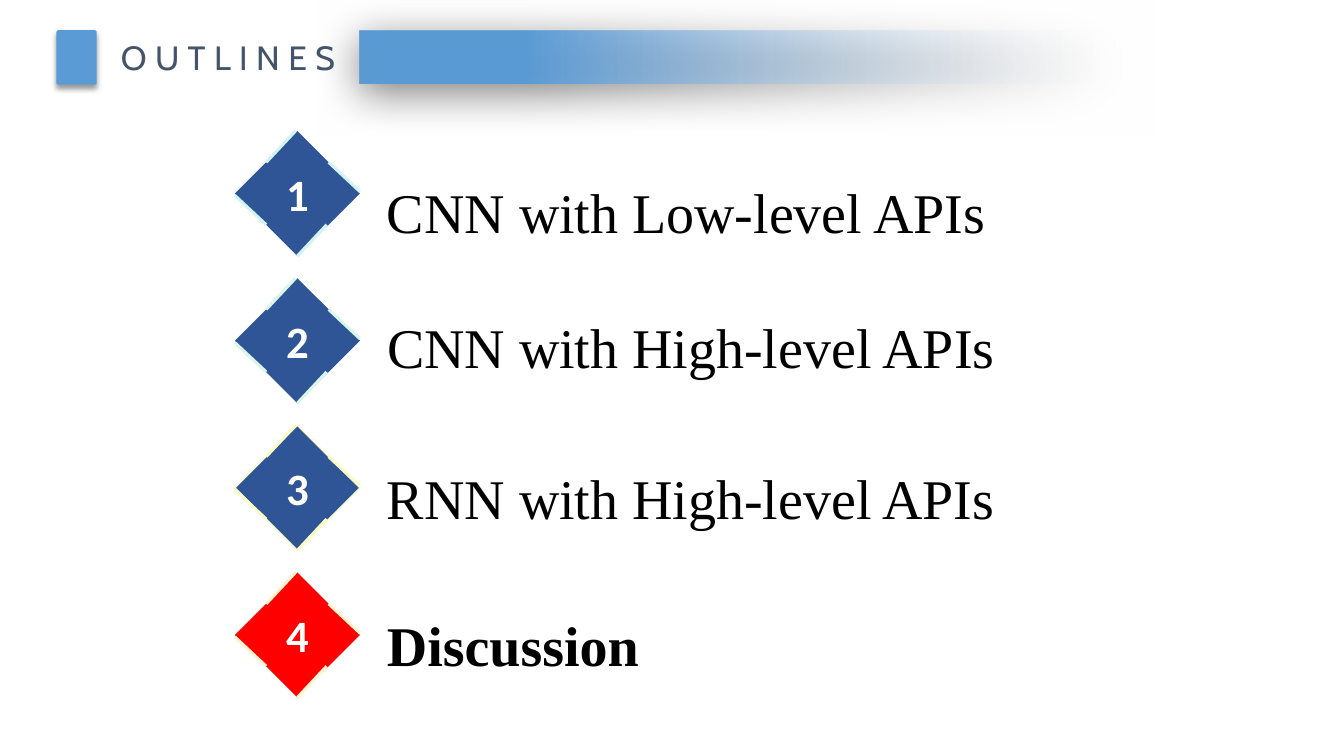
from lxml.etree import SubElement
from pptx import Presentation
from pptx.dml.color import RGBColor
from pptx.enum.shapes import MSO_CONNECTOR, MSO_SHAPE
from pptx.enum.text import MSO_ANCHOR, PP_ALIGN
from pptx.oxml.ns import qn
from pptx.util import Inches, Pt

SKY = RGBColor(0x5B, 0x9B, 0xD5)
MIST = RGBColor(0xF6, 0xF8, 0xFC)
SLATE = RGBColor(0x44, 0x54, 0x6A)
NAVY = RGBColor(0x2F, 0x55, 0x97)
RED = RGBColor(0xFF, 0x00, 0x00)
WHITE = RGBColor(0xFF, 0xFF, 0xFF)
BLACK = RGBColor(0x00, 0x00, 0x00)
AQUA = RGBColor(0xD2, 0xF5, 0xF4)
MINT = RGBColor(0xD9, 0xF6, 0xEA)
LEMON = RGBColor(0xFA, 0xFC, 0xC8)
CREAM = RGBColor(0xFF, 0xF2, 0xD0)

DIAMOND_LEFT, DIAMOND_TOP, DIAMOND_SIZE, DIAMOND_STEP = 2.33, 1.3, 1.24, 1.46
EDGES = [
    (0.31, 0.31, 0.6, 0),
    (0.62, 1.24, 0.91, 0.93),
    (1.24, 0.6, 0.93, 0.31),
    (0.31, 0.93, 0, 0.64),
]
TOPICS = [
    ("CNN with Low-level APIs", 1.58, 8.33, NAVY, AQUA, None, False),
    ("CNN with High-level APIs", 2.92, 9.51, NAVY, MINT, None, False),
    ("RNN with High-level APIs", 4.42, 9.6, NAVY, LEMON, LEMON, False),
    ("Discussion", 5.87, 8.33, RED, CREAM, None, True),
]


class OutlineSlide:
    """Draws the parts of an outline slide in one shared style."""

    heading_font, number_font, topic_font = "Cabin", "Calibri", "Times New Roman"

    def __init__(self, deck):
        self.slide = deck.slides.add_slide(deck.slide_layouts[6])
        self.shapes = self.slide.shapes

    def set_words(self, frame, words, font_name, size, color, bold=False):
        paragraph = frame.paragraphs[0]
        paragraph.text = words
        font = paragraph.font
        font.name, font.size, font.bold = font_name, Pt(size), bold
        font.color.rgb = color
        return paragraph

    def block(self, kind, left, top, width, height, blur, distance, angle, opacity):
        block = self.shapes.add_shape(
            kind, Inches(left), Inches(top), Inches(width), Inches(height))
        block.fill.solid()
        block.fill.fore_color.rgb = SKY
        block.line.fill.background()
        block.shadow.inherit = False
        effects = block.element.spPr.find(qn("a:effectLst"))
        shadow = SubElement(
            effects, qn("a:outerShdw"), blurRad=str(Pt(blur)), dist=str(Pt(distance)),
            dir=str(angle * 60000), algn="t", rotWithShape="0")
        shade = SubElement(shadow, qn("a:srgbClr"), val=str(BLACK))
        SubElement(shade, qn("a:alpha"), val=str(opacity * 1000))
        return block

    def fade(self, block):
        block.fill.gradient()
        block.fill.gradient_angle = 180
        for stop, color, position in zip(block.fill.gradient_stops, (MIST, SKY), (0, 0.78)):
            stop.color.rgb = color
            stop.position = position
        clear_end = next(block.element.spPr.iter(qn("a:srgbClr")))
        SubElement(clear_end, qn("a:alpha"), val="0")

    def heading(self, words, left, top, width, height):
        heading = self.shapes.add_textbox(
            Inches(left), Inches(top), Inches(width), Inches(height))
        heading.text_frame.word_wrap = False
        paragraph = self.set_words(heading.text_frame, words, self.heading_font, 24, SLATE)
        paragraph.runs[0].font._element.set("spc", "600")

    def diamond(self, number, top, fill, outline):
        half = DIAMOND_SIZE / 2
        middle = DIAMOND_LEFT + half
        builder = self.shapes.build_freeform(Inches(middle), Inches(top))
        builder.add_line_segments([
            (Inches(middle + half), Inches(top + half)),
            (Inches(middle), Inches(top + DIAMOND_SIZE)),
            (Inches(DIAMOND_LEFT), Inches(top + half)),
        ], close=True)
        diamond = builder.convert_to_shape()
        diamond.shadow.inherit = False
        diamond.fill.solid()
        diamond.fill.fore_color.rgb = fill
        if outline is None:
            diamond.line.fill.background()
        else:
            diamond.line.color.rgb = outline
            diamond.line.width = Pt(1)
        diamond.text_frame.vertical_anchor = MSO_ANCHOR.MIDDLE
        digit = self.set_words(
            diamond.text_frame, str(number), self.number_font, 32, WHITE, True)
        digit.alignment = PP_ALIGN.CENTER

    def edge(self, x1, y1, x2, y2, color):
        edge = self.shapes.add_connector(
            MSO_CONNECTOR.STRAIGHT, Inches(x1), Inches(y1), Inches(x2), Inches(y2))
        edge.line.color.rgb = color
        edge.line.width = Pt(2.25)
        SubElement(edge._element.spPr, qn("a:effectLst"))

    def topic(self, words, top, width, bold):
        topic = self.shapes.add_textbox(
            Inches(3.74), Inches(top), Inches(width), Inches(0.96))
        topic.text_frame.word_wrap = True
        paragraph = self.set_words(
            topic.text_frame, words, self.topic_font, 40, BLACK, bold)
        paragraph.line_spacing = 1.2


def main():
    deck = Presentation()
    deck.slide_width, deck.slide_height = Inches(13.33), Inches(7.5)
    outline = OutlineSlide(deck)

    banner = outline.block(MSO_SHAPE.RECTANGLE, 3.57, 0.3, 7.49, 0.53, 31, 6, 97, 50)
    outline.fade(banner)
    marker = outline.block(
        MSO_SHAPE.ROUNDED_RECTANGLE, 0.56, 0.3, 0.4, 0.54, 4, 3, 90, 40)
    marker.adjustments[0] = 0.05
    outline.heading("OUTLINES", 1.1, 0.32, 2.55, 0.51)

    for index, (words, text_top, width, fill, trim, border, bold) in enumerate(TOPICS):
        top = DIAMOND_TOP + index * DIAMOND_STEP
        outline.diamond(index + 1, top, fill, border)
        for x1, y1, x2, y2 in EDGES:
            outline.edge(DIAMOND_LEFT + x1, top + y1, DIAMOND_LEFT + x2, top + y2, trim)
        outline.topic(words, text_top, width, bold)

    deck.save("out.pptx")


if __name__ == "__main__":
    main()
